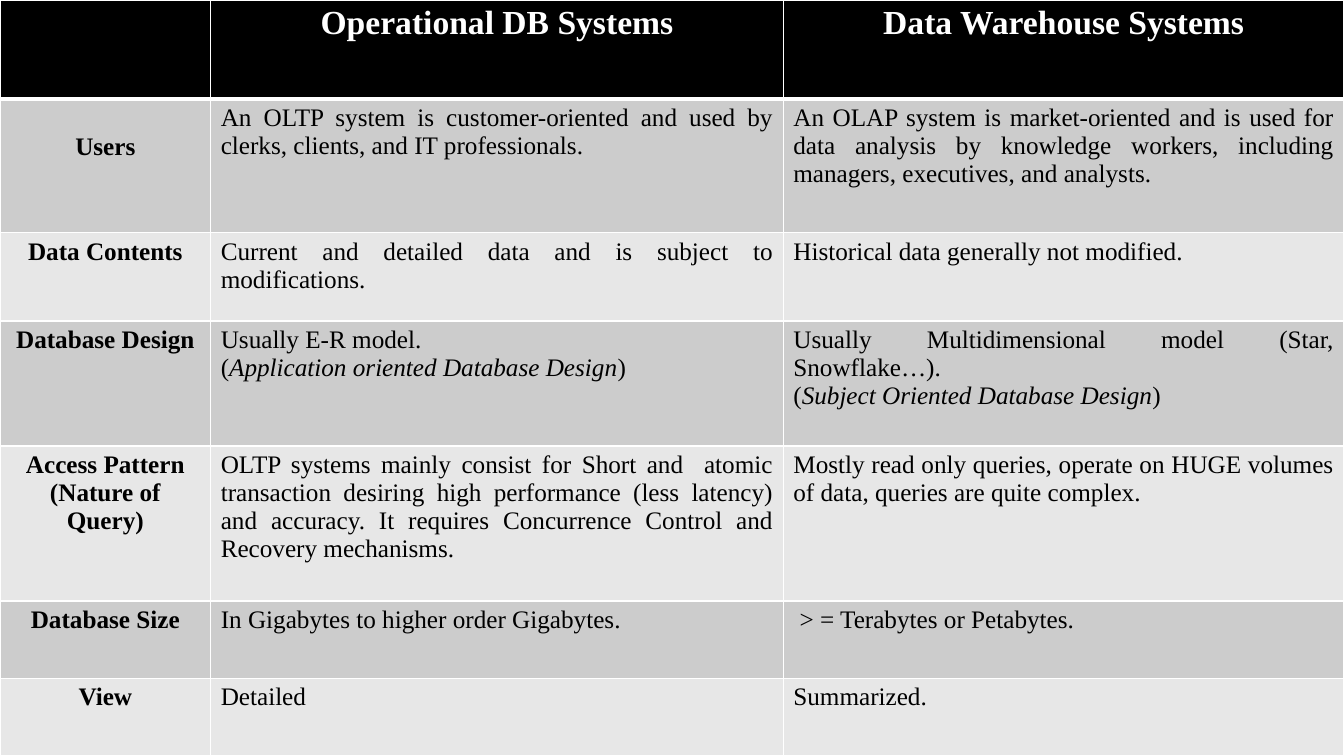
from lxml import etree
from pptx import Presentation
from pptx.dml.color import RGBColor
from pptx.enum.text import PP_ALIGN
from pptx.oxml.ns import qn
from pptx.util import Cm, Pt

CENTER, JUSTIFY = PP_ALIGN.CENTER, PP_ALIGN.JUSTIFY

NAVY = RGBColor(0x25, 0x3D, 0x75)
BLACK = RGBColor(0, 0, 0)
WHITE = RGBColor(0xFF, 0xFF, 0xFF)
GREY = RGBColor(0xCC, 0xCC, 0xCC)
LIGHT = RGBColor(0xE7, 0xE7, 0xE7)

FONT = "Times New Roman"
HEADER = {"size": Pt(24), "bold": True, "name": FONT}
LABEL = {"size": Pt(18), "bold": True, "name": FONT}
BODY = {"size": Pt(18), "bold": False, "name": FONT}

SLIDE_W, SLIDE_H = Cm(33.87), Cm(19.05)
COL_WIDTHS = [5.31, 14.43, 14.13]
ROW_HEIGHTS = [2.5, 3.36, 2.22, 3.15, 3.9, 1.95, 1.95]
USERS_TOP = Cm(0.84)

# Each line of a cell is a paragraph; text between asterisks is italic
ROWS = [
    ("", "Operational DB Systems", "Data Warehouse Systems"),
    ("Users",
     "An OLTP system is customer-oriented and used by clerks, clients, "
     "and IT professionals.",
     "An OLAP system is market-oriented and is used for data analysis by "
     "knowledge workers, including managers, executives, and analysts."),
    ("Data Contents",
     "Current and detailed data and is subject to modifications.",
     "Historical data generally not modified."),
    ("Database Design",
     "Usually E-R model.\n(*Application oriented Database Design*)",
     "Usually Multidimensional model (Star, Snowflake…).\n"
     "(*Subject Oriented Database Design*)"),
    ("Access Pattern\n(Nature of Query)",
     "OLTP systems mainly consist for Short and  atomic transaction desiring "
     "high performance (less latency) and accuracy. It requires Concurrence "
     "Control and Recovery mechanisms.",
     "Mostly read only queries, operate on HUGE volumes of data, "
     "queries are quite complex."),
    ("Database Size", "In Gigabytes to higher order Gigabytes.",
     " > = Terabytes or Petabytes."),
    ("View", "Detailed", "Summarized."),
]


def set_borders(cell, widths):
    """Add white cell borders; widths maps a side (L, R, T, B) to points."""
    tc_pr = cell._tc.get_or_add_tcPr()
    for side, width in widths.items():
        ln = etree.SubElement(tc_pr, qn(f"a:ln{side}"), w=str(Pt(width)))
        fill = etree.SubElement(ln, qn("a:solidFill"))
        etree.SubElement(fill, qn("a:srgbClr"), val=str(WHITE))


def write_cell(cell, text, fmt, color, align):
    tf = cell.text_frame
    for i, line in enumerate(text.split("\n")):
        p = tf.add_paragraph() if i else tf.paragraphs[0]
        p.alignment = align
        for j, part in enumerate(line.split("*")):
            if not part:
                continue
            r = p.add_run()
            r.text = part
            for key, value in fmt.items():
                setattr(r.font, key, value)
            r.font.italic = j % 2 == 1
            r.font.color.rgb = color


def add_comparison_table(slide, left, top, width, height):
    table = slide.shapes.add_table(
        len(ROWS), len(COL_WIDTHS), left, top, width, height).table
    # Column and row sizes scale to the given box
    for col, w in zip(table.columns, COL_WIDTHS):
        col.width = int(width * w / sum(COL_WIDTHS))
    for row, h in zip(table.rows, ROW_HEIGHTS):
        row.height = int(height * h / sum(ROW_HEIGHTS))

    for i, texts in enumerate(ROWS):
        for j, text in enumerate(texts):
            cell = table.cell(i, j)
            set_borders(cell, {"L": 1, "R": 1, "T": 3 if i == 1 else 1,
                               "B": 3 if i == 0 else 1})
            cell.fill.solid()
            if i == 0:
                cell.fill.fore_color.rgb = BLACK
                write_cell(cell, text, HEADER, WHITE, CENTER)
                continue
            cell.fill.fore_color.rgb = GREY if i % 2 else LIGHT
            if j == 0:
                write_cell(cell, text, LABEL, BLACK, CENTER)
            else:
                write_cell(cell, text, BODY, BLACK, JUSTIFY)

    # The "Users" label sits one line lower
    table.cell(1, 0).margin_top = USERS_TOP


prs = Presentation()
prs.slide_width, prs.slide_height = SLIDE_W, SLIDE_H
slide = prs.slides.add_slide(prs.slide_layouts[6])
slide.background.fill.solid()
slide.background.fill.fore_color.rgb = NAVY
add_comparison_table(slide, Cm(0), Cm(0), SLIDE_W, SLIDE_H)
prs.save("out.pptx")
